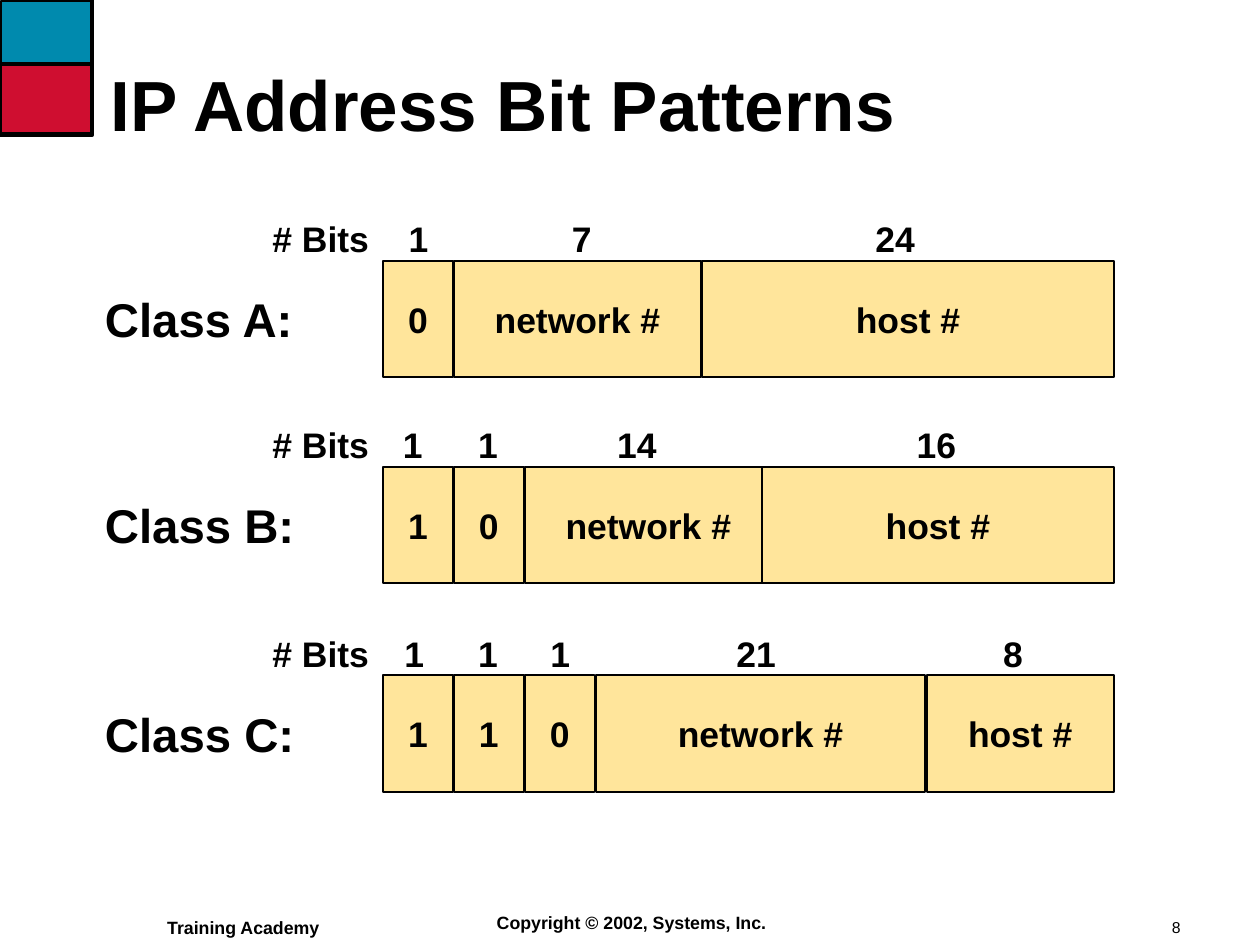
"""Build the slide on IP address bit patterns."""
import pptx
import pptx.dml.color
import pptx.enum.shapes
import pptx.enum.text
import pptx.oxml.ns
import pptx.util
from lxml import etree

PX = 9144
COLOURS = {"ink": "000000", "teal": "008AAE", "red": "CF0E30", "cell": "FFE59B", "page": "FFFFFF"}
RECTANGLE = pptx.enum.shapes.MSO_SHAPE.RECTANGLE
STRAIGHT = pptx.enum.shapes.MSO_CONNECTOR.STRAIGHT
MIDDLE = pptx.enum.text.MSO_ANCHOR.MIDDLE
LEFT = pptx.enum.text.PP_ALIGN.LEFT
CENTER = pptx.enum.text.PP_ALIGN.CENTER
ROW_LEFT, ROW_WIDTH, ROW_HEIGHT = 270, 515, 82

CLASSES = [
    ("Class A:", 184,
     [("1", 16), ("7", 131), ("24", 345)],
     [("0", 0, 49), ("network #", 50, 174), ("host #", 225, 290)]),
    ("Class B:", 329,
     [("1", 12), ("1", 65), ("14", 163), ("16", 374)],
     [("1", 0, 49), ("0", 50, 49), ("network #", 100, 174), ("host #", 267, 248)]),
    ("Class C:", 476,
     [("1", 13), ("1", 65), ("1", 116), ("21", 247), ("8", 435)],
     [("1", 0, 49), ("1", 50, 49), ("0", 100, 49), ("network #", 150, 232), ("host #", 383, 132)]),
]


def emu(*lengths):
    """Turn px lengths into EMU."""
    return [pptx.util.Emu(length * PX) for length in lengths]


def colour(name):
    """Look up a named colour."""
    return pptx.dml.color.RGBColor.from_string(COLOURS[name])


def write(shape, text, size, bold=True, align=LEFT, anchor=None, insets=(10, 5), wrap=False, spacing=None):
    """Put one formatted line of text into a shape."""
    frame = shape.text_frame
    frame.word_wrap = wrap
    frame.margin_left, frame.margin_top = emu(*insets)
    frame.margin_right, frame.margin_bottom = emu(*insets)
    if anchor is not None:
        frame.vertical_anchor = anchor
    para = frame.paragraphs[0]
    para.alignment = align
    if spacing is not None:
        para.line_spacing = spacing
    span = para.add_run()
    span.text = text
    span.font.name = "Arial"
    span.font.size = pptx.util.Pt(size)
    span.font.bold = bold
    span.font.color.rgb = colour("ink")


def add_text(page, box, text, size, **style):
    """Add a text box."""
    write(page.shapes.add_textbox(*emu(*box)), text, size, **style)


def set_line(shape, width):
    """Give a shape a black line."""
    shape.line.color.rgb = colour("ink")
    shape.line.width = pptx.util.Pt(width)


def add_block(page, box, fill):
    """Add a filled, outlined rectangle."""
    block = page.shapes.add_shape(RECTANGLE, *emu(*box))
    block.shadow.inherit = False
    block.fill.solid()
    block.fill.fore_color.rgb = colour(fill)
    set_line(block, 1)
    return block


def add_corner(page, box):
    """Draw the two-coloured corner mark with its heavy edges."""
    left, top, width, height = box
    right, bottom, middle = left + width, top + height, top + 45
    add_block(page, (left + 1, top + 1, width - 2, 68), "teal")
    add_block(page, (left + 1, middle + 1, width - 2, 48), "red")
    divider = page.shapes.add_connector(STRAIGHT, *emu(right, middle, left, middle))
    set_line(divider, 2)
    properties = divider.element.spPr
    etree.SubElement(properties, pptx.oxml.ns.qn("a:effectLst"))
    builder = page.shapes.build_freeform(left, bottom, scale=PX)
    builder.add_line_segments([(right, bottom), (right, top)], close=False)
    edge = builder.convert_to_shape()
    edge.shadow.inherit = False
    edge.fill.background()
    set_line(edge, 2)


def add_address_class(page, box, name, bits, fields):
    """Draw one address class: its name, bit counts and fields."""
    left, top, width, height = box
    label_style = {"insets": (2, 3), "spacing": pptx.util.Pt(21)}
    add_text(page, (left - 198, top + 19, 150, 43), name, 24,
             insets=(2, 3), spacing=pptx.util.Pt(28))
    for text, offset in [("# Bits", -80), *bits]:
        label_width = 79 if offset < 0 else 43
        add_text(page, (left + offset, top - 33, label_width, 43), text, 18, **label_style)
    for text, offset, field_width in fields:
        field = add_block(page, (left + offset, top, field_width, height), "cell")
        write(field, text, 18, align=CENTER, anchor=MIDDLE)


def add_footer(page, box):
    """Add the academy name, copyright line and page number."""
    left, top, width, height = box
    add_text(page, (left + 108, top + 3, 132, 25), "Training Academy", 9, wrap=True)
    add_text(page, (left + 341, top, 208, 24), "Copyright © 2002, Systems, Inc.", 9,
             align=CENTER, insets=(9, 5))
    add_text(page, (left + width - 70, top + 5, 67, 21), "8", 8, bold=False, insets=(8, 4))


def main():
    """Build and save the deck."""
    deck = pptx.Presentation()
    deck.slide_width, deck.slide_height = emu(888, 666)
    page = deck.slides.add_slide(deck.slide_layouts[6])
    page.background.fill.solid()
    page.background.fill.fore_color.rgb = colour("page")
    add_corner(page, (0, 0, 65, 95))
    add_footer(page, (0, 638, 888, 28))
    add_text(page, (70, 21, 774, 111), "IP Address Bit Patterns", 36,
             anchor=MIDDLE, insets=(8, 4), wrap=True, spacing=0.9)
    for name, top, bits, fields in CLASSES:
        add_address_class(page, (ROW_LEFT, top, ROW_WIDTH, ROW_HEIGHT), name, bits, fields)
    deck.save("out.pptx")


if __name__ == "__main__":
    main()
